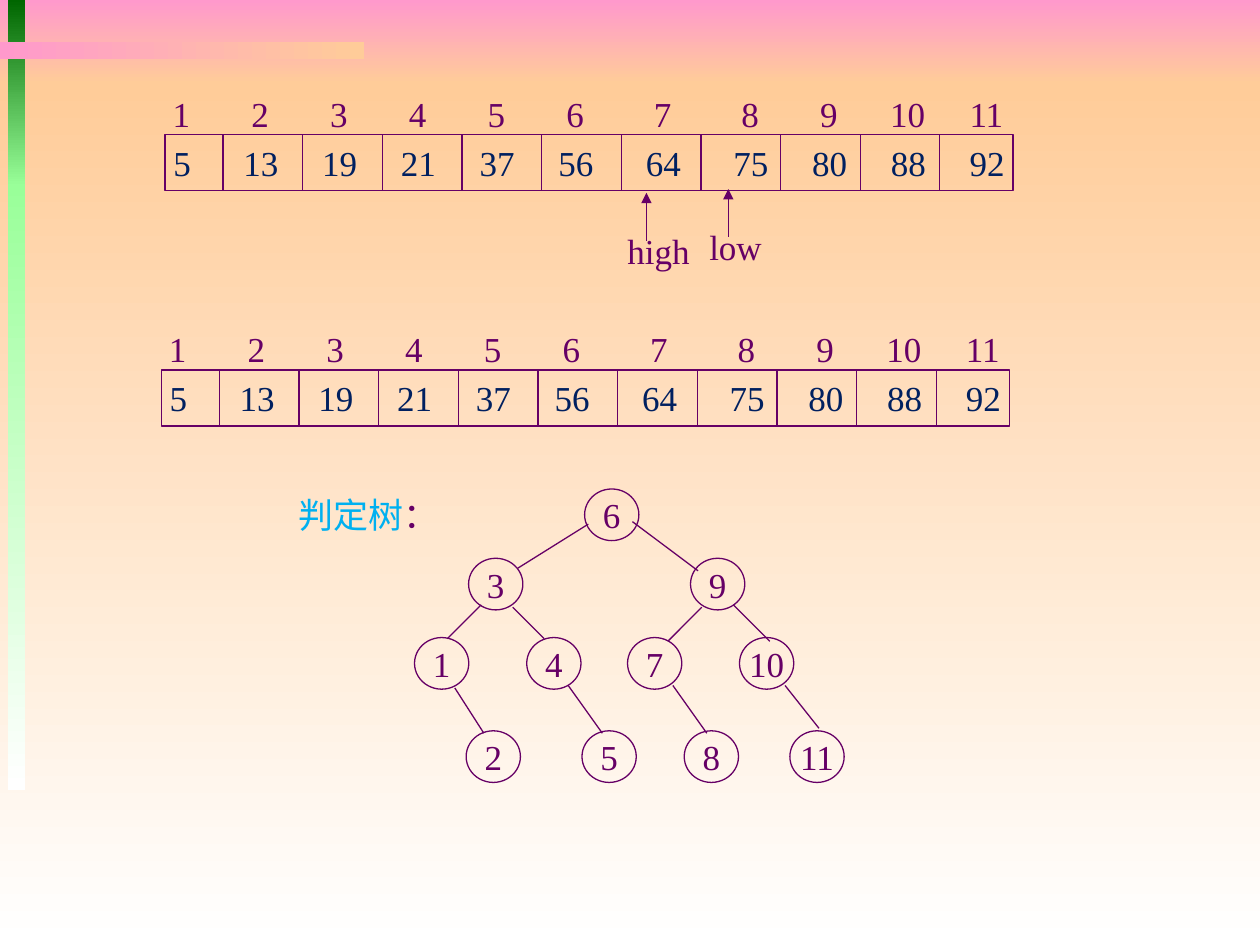
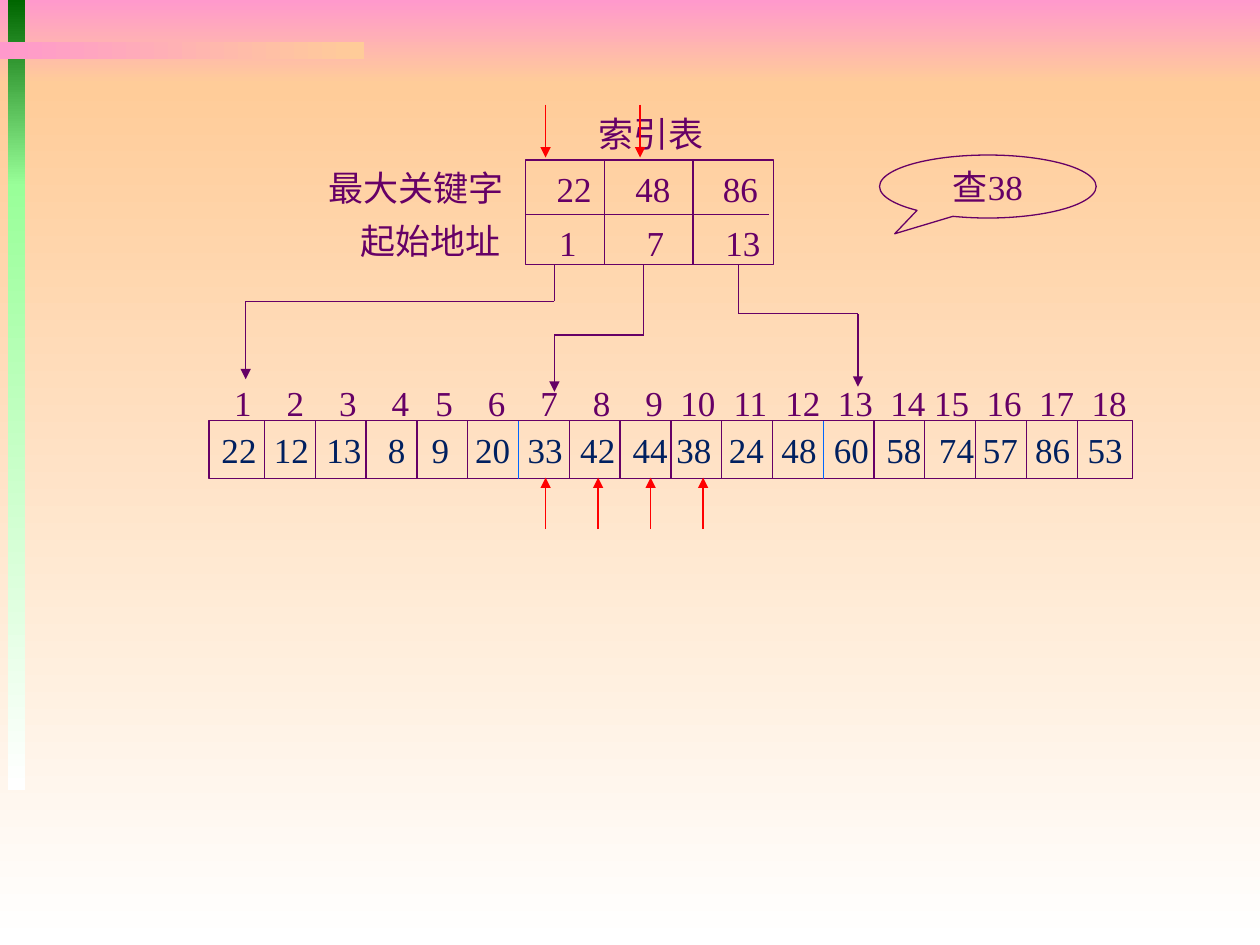
from dataclasses import dataclass
from itertools import accumulate, pairwise

from lxml import etree
from pptx import Presentation
from pptx.dml.color import RGBColor
from pptx.enum.shapes import MSO_CONNECTOR, MSO_SHAPE
from pptx.enum.text import MSO_ANCHOR, PP_ALIGN
from pptx.oxml.ns import qn
from pptx.util import Pt

RECT, OVAL, CALLOUT = MSO_SHAPE.RECTANGLE, MSO_SHAPE.OVAL, MSO_SHAPE.OVAL_CALLOUT
STRAIGHT = MSO_CONNECTOR.STRAIGHT
LEFT, CENTER = PP_ALIGN.LEFT, PP_ALIGN.CENTER
TOP, MIDDLE = MSO_ANCHOR.TOP, MSO_ANCHOR.MIDDLE

COLORS = {
    "plum": "660066", "navy": "002060", "sky": "00B0F0", "block": "0066FF",
    "red": "FF0000", "pink": "FF99CC", "peach": "FFCC99", "white": "FFFFFF",
    "forest": "006600", "mint": "99FF99",
}
FONT = "Times New Roman"
DIGIT_WIDTH = 10
LABEL_HEIGHT = 31
DOWNWARD, RIGHTWARD = 270, 0


@dataclass(frozen=True)
class Band:
    left: float
    top: float
    width: float
    height: float
    start: str
    end: str
    angle: int = DOWNWARD


@dataclass(frozen=True)
class NumberArray:
    """A boxed row of values with its positions written above."""
    left: float
    top: float
    width: float
    height: float
    values: list[int]
    value_steps: list[float]
    index_steps: list[float]
    index_dx: float
    index_dy: float
    index_width: float
    inset: float
    first_divider: float
    cell_width: float
    block_starts: tuple[int, ...] = ()


@dataclass(frozen=True)
class Label:
    text: str
    left: float
    top: float
    width: float


BANDS = [
    Band(0, 0, 720, 48, "pink", "peach"),
    Band(0, 48, 720, 492, "peach", "white"),
    Band(4.3, 0, 10, 106.5, "forest", "mint"),
    Band(4.3, 105, 10, 346.5, "mint", "white"),
    Band(0, 24, 208.3, 10, "pink", "peach", RIGHTWARD),
]


def color(name: str) -> RGBColor:
    return RGBColor.from_string(COLORS[name])


def steps_between(count: int, usual: float, odd: dict[int, float]) -> list[float]:
    """Distances between the centres of neighbouring numbers."""
    return [odd.get(position, usual) for position in range(count)]


def write(shape, *runs: tuple[str, str], align=LEFT, anchor=TOP, inset=7.2,
          wrap=True, tab_centers=()) -> None:
    """Fill a shape with (text, colour) runs; numbers line up on centred tabs."""
    frame = shape.text_frame
    frame.word_wrap = wrap
    frame.vertical_anchor = anchor
    frame.margin_left, frame.margin_right = Pt(inset), 0
    paragraph = frame.paragraphs[0]
    paragraph.alignment = align
    for text, color_name in runs:
        run = paragraph.add_run()
        run.text = text
        run.font.name, run.font.size = FONT, Pt(20)
        run.font.color.rgb = color(color_name)
    if tab_centers:
        tabs = etree.SubElement(paragraph._p.get_or_add_pPr(), qn("a:tabLst"))
        for center in tab_centers:
            etree.SubElement(tabs, qn("a:tab"), pos=str(Pt(center)), algn="ctr")


def add_label(slide, label: Label, *runs: tuple[str, str]) -> None:
    box = slide.shapes.add_textbox(
        Pt(label.left), Pt(label.top), Pt(label.width), Pt(LABEL_HEIGHT))
    write(box, *(runs or [(label.text, "plum")]))


def write_numbers(shape, numbers, steps: list[float], color_name="plum", **layout) -> None:
    words = [str(number) for number in numbers]
    centers = list(accumulate(steps, initial=DIGIT_WIDTH * len(words[0]) / 2))
    write(shape, ("\t".join(words), color_name), tab_centers=centers[1:], **layout)


def add_outline(slide, kind, left: float, top: float, width: float, height: float):
    shape = slide.shapes.add_shape(kind, Pt(left), Pt(top), Pt(width), Pt(height))
    shape.shadow.inherit = False
    shape.fill.background()
    shape.line.color.rgb = color("plum")
    shape.line.width = Pt(0.75)
    return shape


def add_line(slide, start: tuple[float, float], end: tuple[float, float],
             color_name="plum", arrow=False) -> None:
    line = slide.shapes.add_connector(
        STRAIGHT, Pt(start[0]), Pt(start[1]), Pt(end[0]), Pt(end[1]))
    line.line.color.rgb = color(color_name)
    line.line.width = Pt(0.75)
    if arrow:
        etree.SubElement(line.line._get_or_add_ln(), qn("a:tailEnd"), type="triangle")
    etree.SubElement(line._element.spPr, qn("a:effectLst"))


def move_bands_to_master(prs, slide) -> None:
    """Draw the bands on a slide, then hand them to the master for all slides."""
    for number, band in enumerate(BANDS):
        shape = add_outline(slide, RECT, band.left, band.top, band.width, band.height)
        shape.line.fill.background()
        shape.fill.gradient()
        shape.fill.gradient_angle = band.angle
        for stop, name in zip(shape.fill.gradient_stops, (band.start, band.end)):
            stop.color.rgb = color(name)
        for stop, position in zip(shape.fill.gradient_stops, (0, 1)):
            stop.position = position
        shape.element.nvSpPr.cNvPr.set("id", str(100 + number))
        prs.slide_master.shapes.element.insert(2 + number, shape.element)


def draw_array(slide, array: NumberArray) -> None:
    indexes = slide.shapes.add_textbox(
        Pt(array.left + array.index_dx), Pt(array.top + array.index_dy),
        Pt(array.index_width), Pt(LABEL_HEIGHT))
    write_numbers(indexes, range(1, len(array.values) + 1), array.index_steps)
    row = add_outline(slide, RECT, array.left, array.top, array.width, array.height)
    write_numbers(row, array.values, array.value_steps, "navy",
                  anchor=MIDDLE, inset=array.inset)
    for cell in range(1, len(array.values)):
        x = array.left + array.first_divider + (cell - 1) * array.cell_width
        add_line(slide, (x, array.top), (x, array.top + array.height),
                 "block" if cell in array.block_starts else "plum")


def sorted_array(left: float, top: float) -> NumberArray:
    steps = steps_between(10, 45, {5: 50, 6: 50})
    return NumberArray(
        left, top, 484.6, 32, [5, 13, 19, 21, 37, 56, 64, 75, 80, 88, 92],
        steps, steps, index_dx=-2.7, index_dy=-27.6, index_width=489.6, inset=4.8,
        first_divider=33.1, cell_width=45.52)


def draw_decision_tree(slide) -> None:
    levels = [
        (279.4, {6: 334.1}),
        (319, {3: 267.8, 9: 394.6}),
        (364.3, {1: 236.9, 4: 301, 7: 358.6, 10: 422.6}),
        (417.6, {2: 266.4, 5: 332.6, 8: 391, 11: 451.4}),
    ]
    branches = [
        ((336.2, 299.5), (295.9, 324.7)), ((361.4, 298.1), (398.9, 326.2)),
        ((275, 345.6), (255.6, 365)), ((293, 347), (311, 365)),
        ((401, 347), (381.6, 366.5)), ((419, 345.6), (439.9, 366.5)),
        ((259.9, 393.1), (276.5, 419)), ((324.7, 391.7), (344.2, 419)),
        ((384.5, 391.7), (403.9, 419)), ((448.6, 391.7), (468, 416.2)),
    ]
    for top, nodes in levels:
        for position, left in nodes.items():
            node = add_outline(slide, OVAL, left, top, 31, 29.5)
            write(node, (str(position), "plum"), align=CENTER, anchor=MIDDLE,
                  inset=0, wrap=False)
    for parent, child in branches:
        add_line(slide, parent, child)
    add_label(slide, Label("", 163.4, 278.6, 94.3), ("判定树", "sky"), ("：", "plum"))


def draw_binary_search(slide) -> None:
    draw_array(slide, sorted_array(94.3, 77))
    add_line(slide, (416.2, 135.4), (416.2, 108), arrow=True)
    add_line(slide, (369.4, 137.5), (369.4, 110.2), arrow=True)
    add_label(slide, Label("low", 398.2, 125.3, 44.6))
    add_label(slide, Label("high", 351.4, 127.4, 49.7))
    draw_decision_tree(slide)
    draw_array(slide, sorted_array(92.2, 211.4))


def draw_index_table(slide) -> None:
    left, top, bottom = 300.2, 91.4, 151.2
    add_outline(slide, RECT, left, top, 141.8, bottom - top)
    add_line(slide, (left, 122.4), (439.2, 122.4))
    for x in (345.6, 396):
        add_line(slide, (x, top), (x, bottom))
    rows = [(311, 92.2, [22, 48, 86], [45, 50]), (312.5, 123.1, [1, 7, 13], [50, 50])]
    for row_left, row_top, numbers, steps in rows:
        row = slide.shapes.add_textbox(
            Pt(row_left), Pt(row_top), Pt(129.6), Pt(LABEL_HEIGHT))
        write_numbers(row, numbers, steps)
    for source, bend, target, tip in [
        (316.8, 172.1, 140.4, 216.7), (367.9, 191.5, 316.8, 223.9),
        (421.9, 179.3, 490.3, 221),
    ]:
        corners = [(source, bottom), (source, bend), (target, bend), (target, tip)]
        for start, end in pairwise(corners):
            add_line(slide, start, end, arrow=end == corners[-1])
    for label in (Label("索引表", 334.8, 60.5, 74.2),
                  Label("最大关键字", 180.7, 91.4, 115.2),
                  Label("起始地址", 198.7, 121.7, 95)):
        add_label(slide, label)


def draw_block_search(slide) -> None:
    draw_array(slide, NumberArray(
        119.5, 240.5, 527.8, 33,
        [22, 12, 13, 8, 9, 20, 33, 42, 44, 38, 24, 48, 60, 58, 74, 57, 86, 53],
        value_steps=steps_between(17, 30, {3: 25, 8: 25, 14: 25}),
        index_steps=steps_between(17, 30, {3: 25, 8: 25, 13: 25}),
        index_dx=7.2, index_dy=-26, index_width=524.2, inset=7.2,
        first_divider=31.7, cell_width=29.02, block_starts=(6, 12)))
    draw_index_table(slide)
    query = add_outline(slide, CALLOUT, 502.6, 88.6, 123.8, 36)
    query.adjustments[0], query.adjustments[1] = -0.43, 0.75
    write(query, ("查38", "plum"), align=CENTER, anchor=MIDDLE, inset=0, wrap=False)
    for x in (311.8, 365.8):
        add_line(slide, (x, 59.8), (x, 90), "red", arrow=True)
    for comparison in range(4):
        x = 311.8 + 30 * comparison
        add_line(slide, (x, 302.4), (x, 272.9), "red", arrow=True)


def main() -> None:
    prs = Presentation()
    prs.slide_width, prs.slide_height = Pt(720), Pt(540)
    blank = prs.slide_layouts[6]
    binary_search, block_search = (prs.slides.add_slide(blank) for _ in range(2))
    move_bands_to_master(prs, binary_search)
    draw_binary_search(binary_search)
    draw_block_search(block_search)
    prs.save("out.pptx")


if __name__ == "__main__":
    main()
